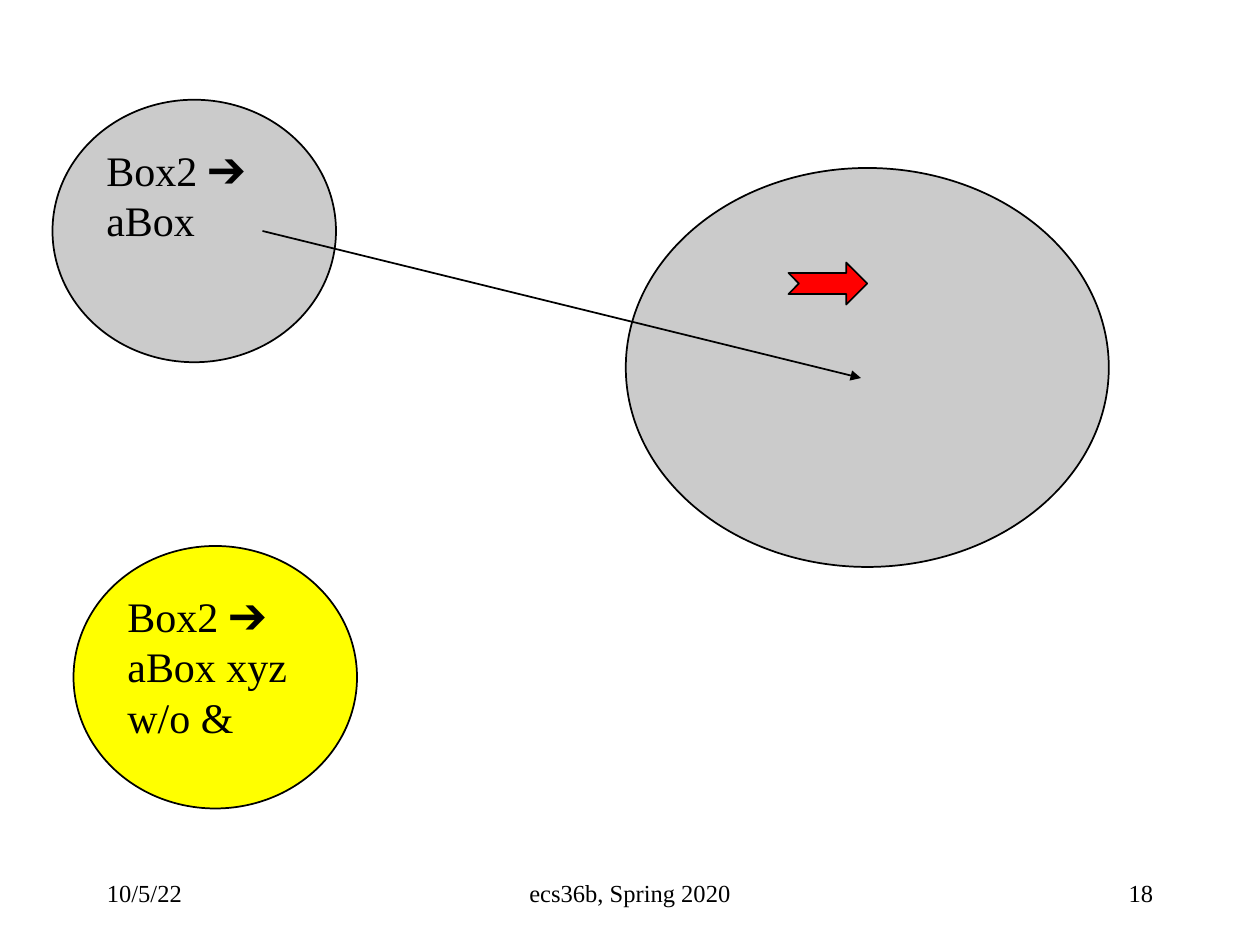
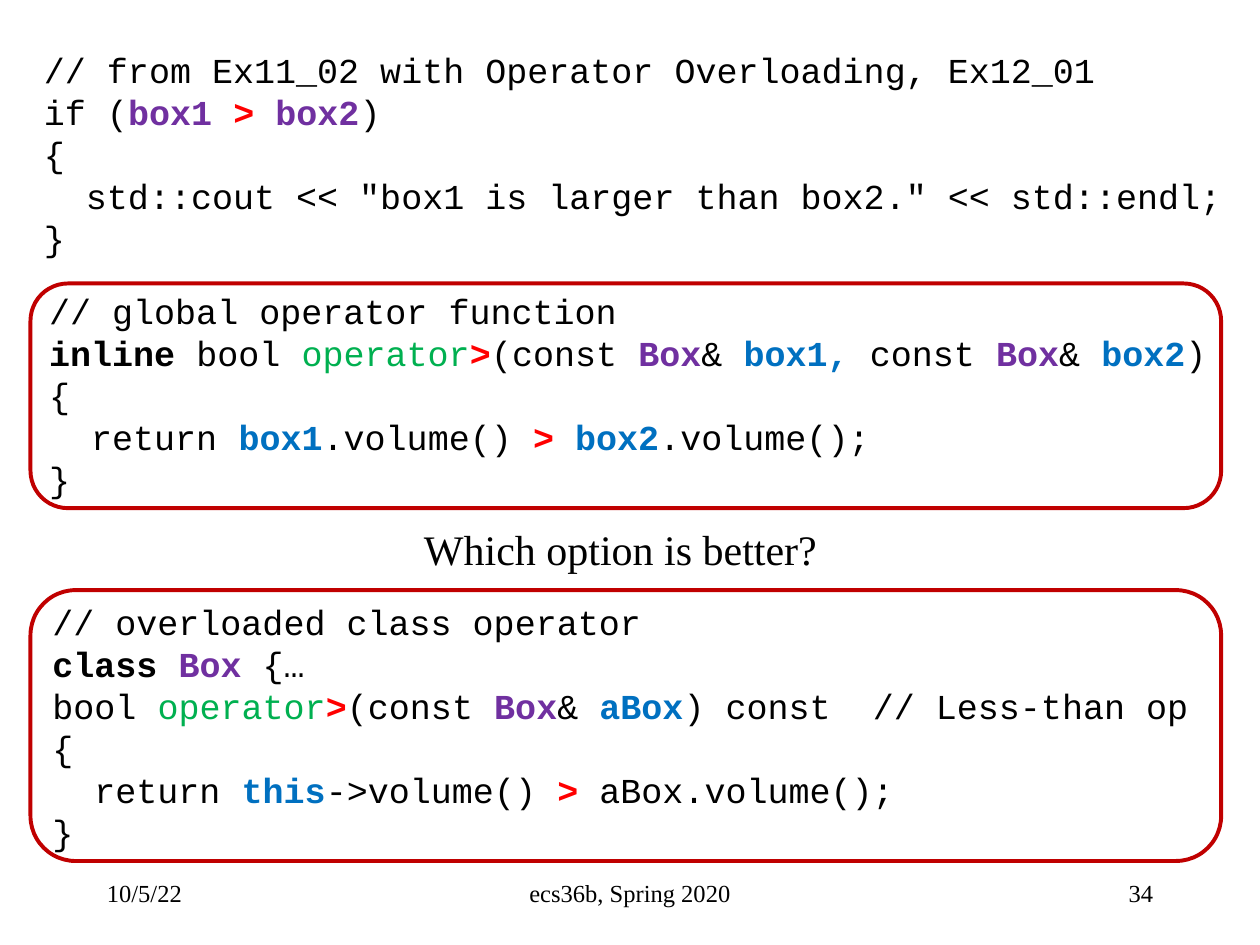
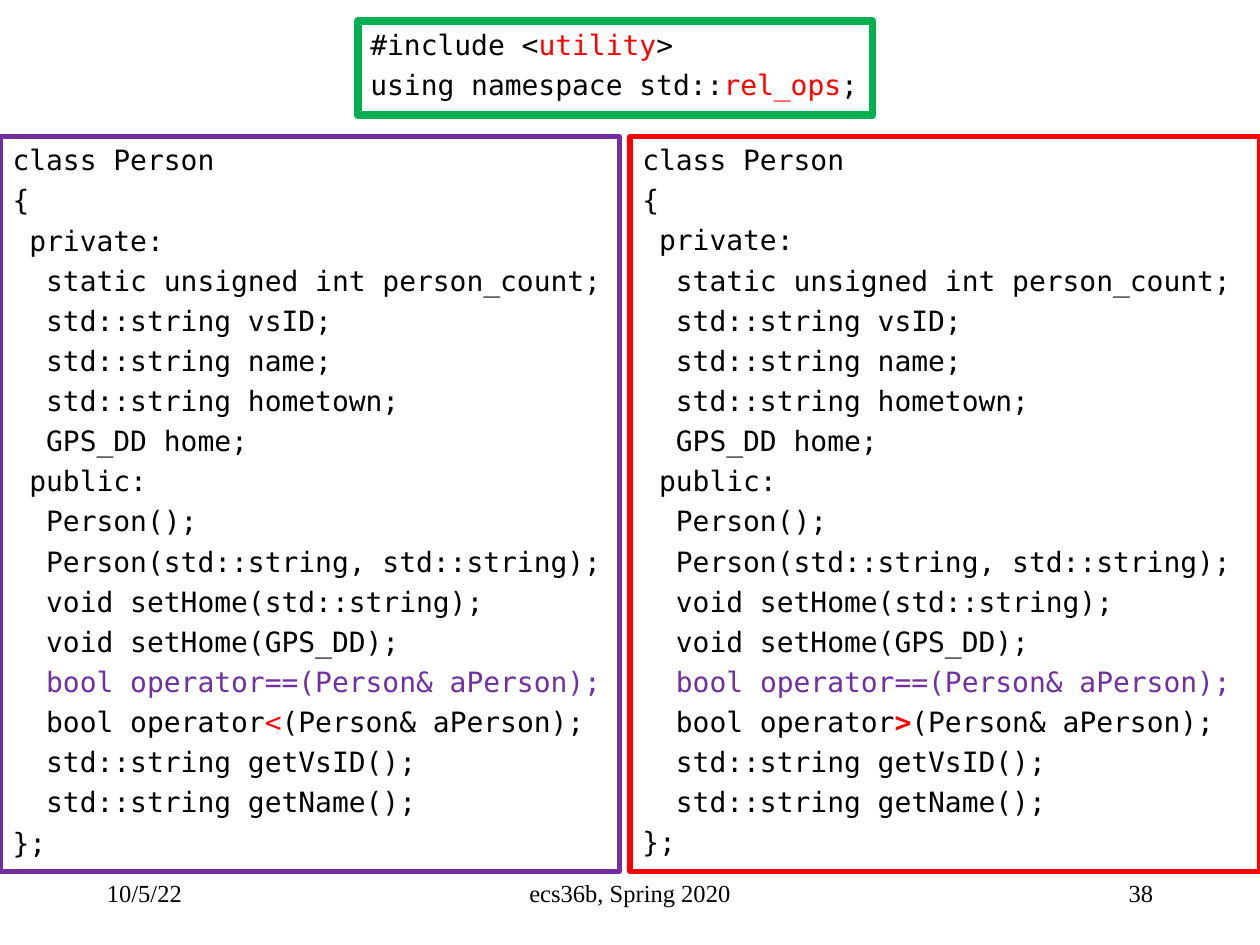
"""Build three C++ lecture slides on boxes and operator overloading."""
from lxml.etree import SubElement
from pptx import Presentation
from pptx.dml.color import RGBColor
from pptx.enum.shapes import MSO_CONNECTOR as Connector, MSO_SHAPE as Preset
from pptx.enum.text import MSO_ANCHOR as Anchor, MSO_AUTO_SIZE as AutoSize, PP_ALIGN as Align
from pptx.oxml.ns import qn
from pptx.util import Inches, Pt

BLACK = RGBColor(0x00, 0x00, 0x00)
GRAY = RGBColor(0xCB, 0xCB, 0xCB)
YELLOW = RGBColor(0xFF, 0xFF, 0x00)
RED = RGBColor(0xFF, 0x00, 0x00)
CRIMSON = RGBColor(0xC0, 0x00, 0x00)
GREEN = RGBColor(0x00, 0xB0, 0x50)
BLUE = RGBColor(0x00, 0x70, 0xC0)
PURPLE = RGBColor(0x70, 0x30, 0xA0)

SERIF = ("Times New Roman", 24)
SMALL = ("Times New Roman", 14)
COURIER = ("Courier New", 20)
MONO = ("DejaVu Sans Mono", 16)
BLANK_LAYOUT, BODY_LAYOUT = 6, 1

BOX_TYPE = ("Box", PURPLE, True)
GREATER = (">", RED, True)
OPERATOR = ("operator", GREEN, False)


class Lecture:
    """Hold the deck, its style and the current page on a 120 by 90 grid."""

    def __init__(self):
        self.deck = Presentation()
        self.deck.slide_width, self.deck.slide_height = Inches(10), Inches(7.5)
        self.column = self.deck.slide_width / 120
        self.row = self.deck.slide_height / 90

    def place(self, area):
        left, top, width, height = area
        return (round(left * self.column), round(top * self.row),
                round(width * self.column), round(height * self.row))

    def start_page(self, number, layout=BLANK_LAYOUT):
        self.page = self.deck.slides.add_slide(self.deck.slide_layouts[layout])
        footers = [(9, 25, "10/5/22", Align.LEFT),
                   (41, 38, "ecs36b, Spring 2020", Align.CENTER),
                   (86, 25, number, Align.RIGHT)]
        for left, width, label, align in footers:
            self.text((left, 82, width, 6), [label], SMALL, align, Anchor.MIDDLE)

    def set_lines(self, box, lines, style, align=Align.LEFT, gap=0, bullets=True):
        frame = box.text_frame
        name, size = style
        for index, line in enumerate(lines):
            para = frame.add_paragraph() if index else frame.paragraphs[0]
            para.alignment = align
            if not bullets:
                properties = para._p.get_or_add_pPr()
                properties.set("marL", "0")
                properties.set("indent", "0")
                SubElement(properties, qn("a:buNone"))
            para.space_before = Pt(gap if index else 0)
            para.font.name, para.font.size = name, Pt(size)
            para.font.color.rgb = BLACK
            for part in [line] if isinstance(line, str) else line:
                span = para.add_run()
                if isinstance(part, str):
                    span.text = part
                else:
                    span.text, color, span.font.bold = part
                    span.font.color.rgb = color

    def text(self, area, lines, style, align=Align.LEFT, anchor=Anchor.TOP):
        box = self.page.shapes.add_textbox(*self.place(area))
        box.text_frame.word_wrap = True
        box.text_frame.vertical_anchor = anchor
        self.set_lines(box, lines, style, align)

    def outline(self, box, color, weight, fill=None):
        box.line.color.rgb, box.line.width = color, Pt(weight)
        if fill is None:
            box.fill.background()
        else:
            box.fill.solid()
            box.fill.fore_color.rgb = fill

    def shape(self, preset, area, color=BLACK, weight=1, fill=None,
              lines=(), style=SERIF, gap=0, wrap=True):
        box = self.page.shapes.add_shape(preset, *self.place(area))
        box.shadow.inherit = False
        self.outline(box, color, weight, fill)
        box.text_frame.word_wrap = wrap
        box.text_frame.vertical_anchor = Anchor.TOP
        self.set_lines(box, lines, style, gap=gap)

    def body(self, area, color, weight, lines, style, gap):
        title = self.page.shapes.title.element
        title.getparent().remove(title)
        box = self.page.placeholders[1]
        box.left, box.top, box.width, box.height = self.place(area)
        self.outline(box, color, weight)
        box.text_frame.auto_size = AutoSize.NONE
        self.set_lines(box, lines, style, gap=gap, bullets=False)

    def arrow(self, start, end):
        ends = self.place((*start, *end))
        link = self.page.shapes.add_connector(Connector.STRAIGHT, *ends)
        link.line.color.rgb, link.line.width = BLACK, Pt(1)
        properties = link.element.spPr
        SubElement(properties.get_or_add_ln(), qn("a:tailEnd"), type="triangle")
        SubElement(properties, qn("a:effectLst"))


def box_page(lecture):
    lecture.start_page("18")
    lecture.shape(Preset.OVAL, (59.6, 16, 46, 38), fill=GRAY)
    lecture.shape(Preset.OVAL, (5, 9.5, 27, 25), fill=GRAY, lines=["Box2 ➔", "aBox"])
    lecture.arrow((25, 22), (82, 36))
    lecture.shape(Preset.OVAL, (7, 52, 27, 25), fill=YELLOW,
                  lines=["Box2 ➔", "aBox xyz", "w/o &"])
    lecture.shape(Preset.NOTCHED_RIGHT_ARROW, (75.1, 25, 7.5, 4), fill=RED)


def operator_page(lecture):
    usage = [
        "// from Ex11_02 with Operator Overloading, Ex12_01",
        ["if (", ("box1 ", PURPLE, True), GREATER, (" box2", PURPLE, True), ")"],
        "{",
        "  std::cout << \"box1 is larger than box2.\" << std::endl;",
        "}",
    ]
    global_operator = [
        "// global operator function",
        [("inline", BLACK, True), " bool ", OPERATOR, GREATER, "(const ", BOX_TYPE, "& ",
         ("box1, ", BLUE, True), "const ", BOX_TYPE, "& ", ("box2", BLUE, True), ")"],
        "{",
        ["  return ", ("box1", BLUE, True), ".volume() ", GREATER, " ",
         ("box2", BLUE, True), ".volume();"],
        "}",
    ]
    class_operator = [
        "// overloaded class operator",
        [("class ", BLACK, True), BOX_TYPE, " {…"],
        ["bool ", OPERATOR, GREATER, "(const ", BOX_TYPE, "& ", ("aBox", BLUE, True),
         ") const  // Less-than op"],
        "{",
        ["  return ", ("this", BLUE, True), "->volume() ", GREATER, " aBox.volume();"],
        "}",
    ]
    lecture.start_page("34")
    lecture.text((3, 4, 115.6, 21.4), usage, COURIER)
    lecture.text((3.8, 56.6, 111.5, 25.4), class_operator, COURIER)
    lecture.text((3.5, 27, 113.5, 21.4), global_operator, COURIER)
    for top, height in [(27, 21.4), (56.2, 25.8)]:
        lecture.shape(Preset.ROUNDED_RECTANGLE, (2.9, top, 113.4, height), CRIMSON, 2.25)
    lecture.text((39.2, 49.3, 40.2, 6.1), ["Which option is better?"], SERIF)


def person_class(comparison):
    return [
        "class Person",
        "{",
        " private:",
        "  static unsigned int person_count;",
        "  std::string vsID;",
        "  std::string name;",
        "  std::string hometown;",
        "  GPS_DD home;",
        " public:",
        "  Person();",
        "  Person(std::string, std::string);",
        "  void setHome(std::string);",
        "  void setHome(GPS_DD);",
        ["  ", ("bool operator==(Person& aPerson);", PURPLE, False)],
        ["  bool operator", comparison, "(Person& aPerson);"],
        "  std::string getVsID();",
        "  std::string getName();",
        "};",
    ]


def person_page(lecture):
    gap = 3.75
    includes = [
        ["#include <", ("utility", RED, False), ">"],
        ["using namespace std::", ("rel_ops", RED, False), ";"],
    ]
    lecture.start_page("38", BODY_LAYOUT)
    lecture.body((0, 13, 59, 70), PURPLE, 3, person_class(("<", RED, False)), MONO, gap)
    lecture.shape(Preset.RECTANGLE, (60, 13, 60, 70), RED, 3,
                  lines=person_class(GREATER), style=MONO, gap=gap)
    lecture.shape(Preset.RECTANGLE, (34.1, 2, 49, 9), GREEN, 4.5,
                  lines=includes, style=MONO, gap=gap, wrap=False)


def main():
    lecture = Lecture()
    for build in (box_page, operator_page, person_page):
        build(lecture)
    lecture.deck.save("out.pptx")


if __name__ == "__main__":
    main()
